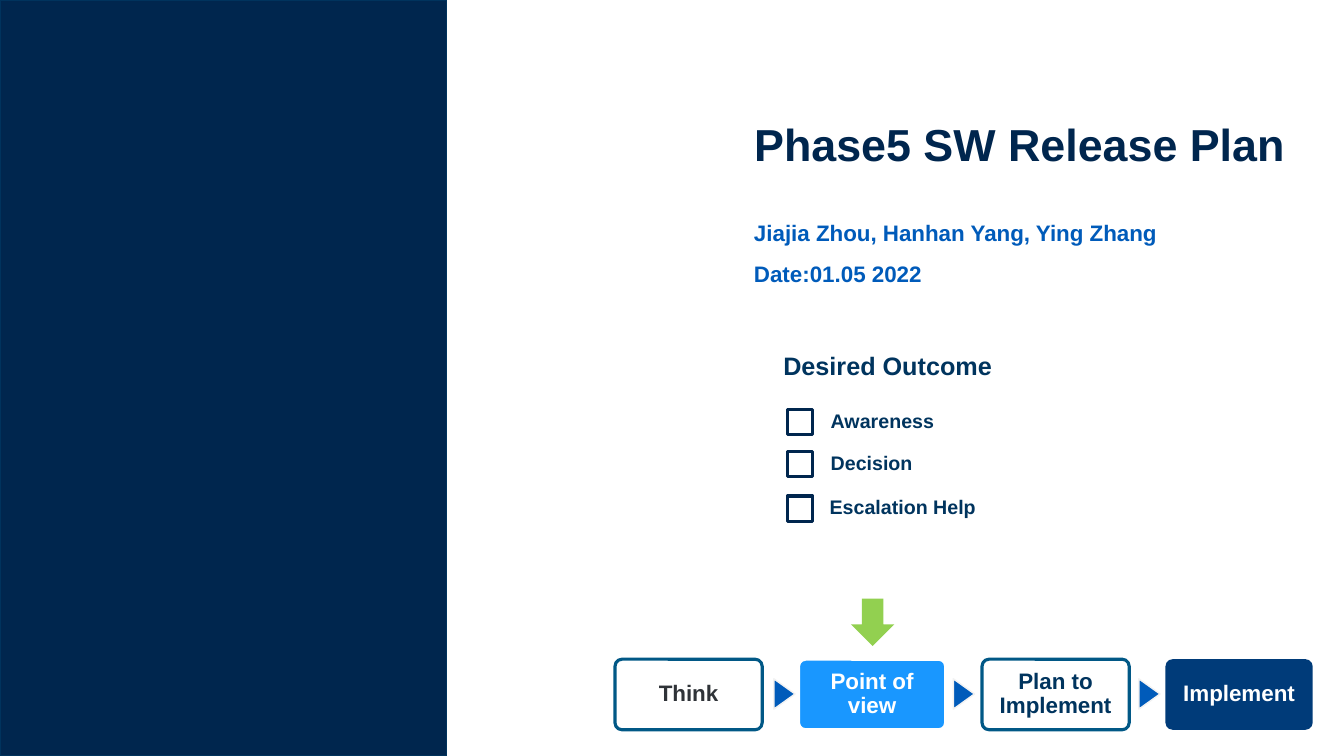
import pptx
import pptx.util
import pptx.dml.color
import pptx.enum.shapes
import pptx.enum.text

Inches = pptx.util.Inches
Pt = pptx.util.Pt
KIND = pptx.enum.shapes.MSO_SHAPE
ALIGN = pptx.enum.text.PP_ALIGN
MIDDLE = pptx.enum.text.MSO_ANCHOR.MIDDLE

HUES = {
    "navy": "00264E", "edge": "00335D", "ink": "00345E", "deep": "003B79",
    "blue": "005BBA", "teal": "015886", "sky": "1997FF", "green": "92D050",
    "gray": "2F3338", "pale": "F2F2F2", "white": "FFFFFF",
}


def hue(name):
    return pptx.dml.color.RGBColor.from_string(HUES[name])


def write(shape, text, size=16, color="ink", align=ALIGN.LEFT, lead=None):
    frame = shape.text_frame
    frame.word_wrap = True
    frame.vertical_anchor = MIDDLE
    para = frame.paragraphs[0]
    para.text = text
    para.alignment = align
    if lead:
        para.line_spacing = lead
    font = para.font
    font.name = "Arial"
    font.size = Pt(size)
    font.bold = True
    font.color.rgb = hue(color)


def draw(slide, kind, left, top, width, height, fill=None, line=None, weight=1):
    shape = slide.shapes.add_shape(
        kind, Inches(left), Inches(top), Inches(width), Inches(height))
    shape.shadow.inherit = False
    if fill:
        shape.fill.solid()
        shape.fill.fore_color.rgb = hue(fill)
    else:
        shape.fill.background()
    if line:
        shape.line.color.rgb = hue(line)
        shape.line.width = Pt(weight)
    else:
        shape.line.fill.background()
    return shape


def label(slide, text, left, top, width, **style):
    box = slide.shapes.add_textbox(
        Inches(left), Inches(top), Inches(width), Inches(0.64))
    write(box, text, **style)


def head(slide, text):
    title = slide.shapes.title
    title.left, title.top = Inches(7.38), Inches(0.83)
    title.width, title.height = Inches(5.95), Inches(1.18)
    write(title, text, size=32, color="navy")


def check(slide, text, top, left, width):
    draw(slide, KIND.RECTANGLE, 7.81, top, 0.25, 0.25, line="navy", weight=2.25)
    label(slide, text, left, top - 0.21, width, size=14)


def step(slide, index, text, color, fill, line):
    box = draw(slide, KIND.ROUNDED_RECTANGLE, 6.1 + 1.82 * index, 6.54, 1.46, 0.7,
               fill=fill, line=line, weight=2.25)
    box.adjustments[0] = 0.1
    frame = box.text_frame
    frame.margin_left = frame.margin_right = Inches(0.09)
    frame.margin_top = frame.margin_bottom = Inches(0.09)
    write(box, text, color=color, align=ALIGN.CENTER, lead=0.9)


def main():
    deck = pptx.Presentation()
    deck.slide_width = Inches(13.33)
    deck.slide_height = Inches(7.5)
    slide = deck.slides.add_slide(deck.slide_layouts[5])

    draw(slide, KIND.RECTANGLE, 0, 0, 4.43, 7.5, fill="navy", line="edge")
    head(slide, "Phase5 SW Release Plan")
    label(slide, "Jiajia Zhou, Hanhan Yang, Ying Zhang", 7.38, 1.99, 4.96, color="blue")
    label(slide, "Date:01.05 2022", 7.38, 2.39, 3.7, color="blue")

    label(slide, "Desired Outcome", 7.67, 3.31, 3.42, size=18)
    for text, top, left, width in (
        ("Awareness", 4.06, 8.14, 1.99),
        ("Decision", 4.48, 8.14, 1.99),
        ("Escalation Help", 4.92, 8.13, 2.42),
    ):
        check(slide, text, top, left, width)

    steps = (
        ("Think", "gray", None, "teal"),
        ("Point of view", "white", "sky", "white"),
        ("Plan to Implement", "ink", None, "teal"),
        ("Implement", "white", "deep", None),
    )
    for index, parts in enumerate(steps):
        step(slide, index, *parts)
    for left in (7.63, 9.41, 11.25):
        mark = draw(slide, KIND.ISOSCELES_TRIANGLE, left, 6.78, 0.3, 0.21,
                    fill="blue", line="pale")
        mark.rotation = 90
    draw(slide, KIND.DOWN_ARROW, 8.44, 5.94, 0.43, 0.47, fill="green")

    deck.save("out.pptx")


if __name__ == "__main__":
    main()
